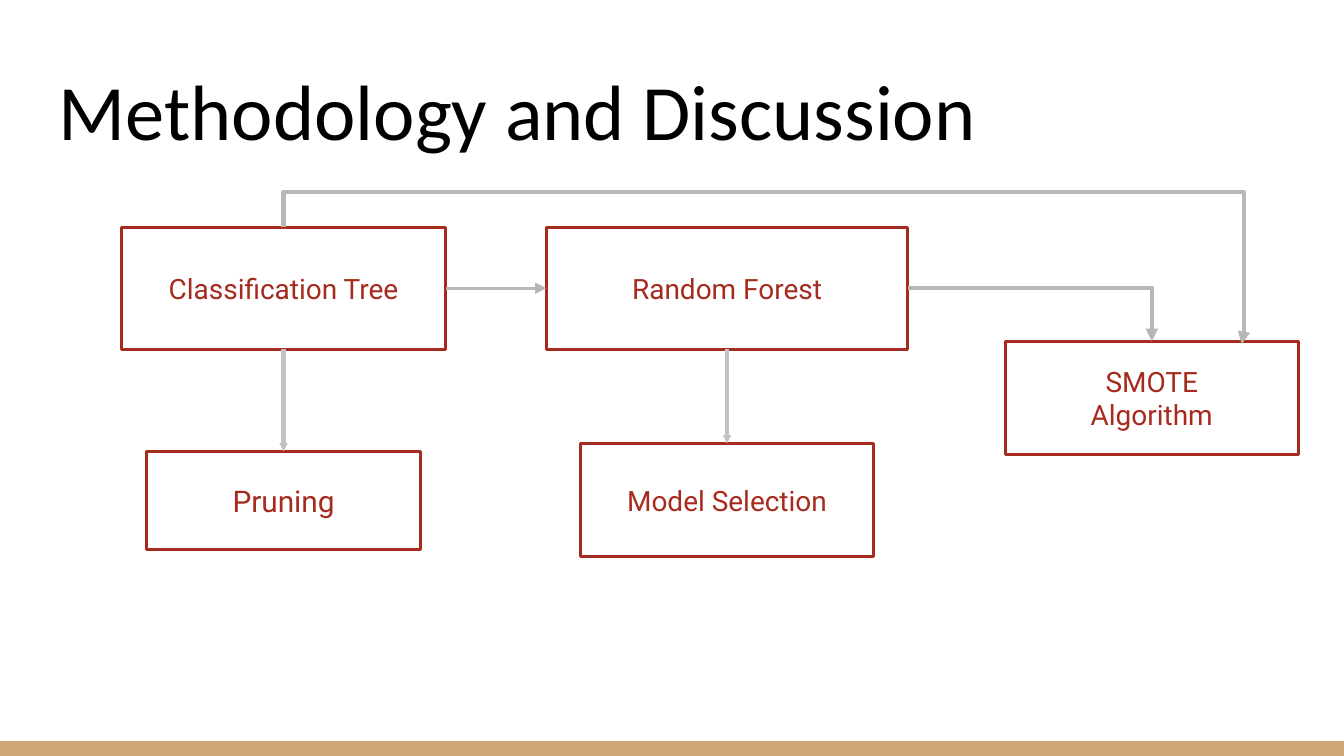
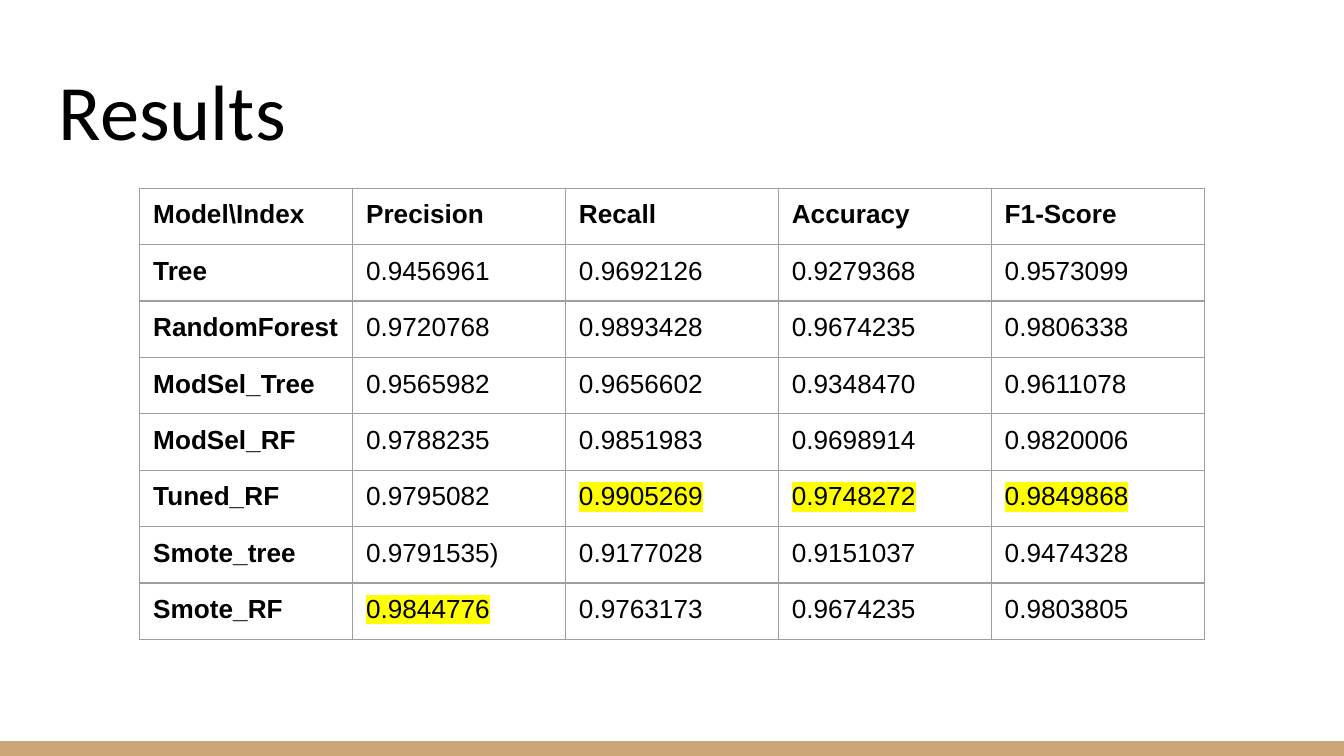
import pptx
import pptx.util
import pptx.dml.color
import pptx.enum.shapes
import pptx.enum.text
import pptx.oxml
import pptx.oxml.ns
import lxml.etree

Inches = pptx.util.Inches
Pt = pptx.util.Pt
RGBColor = pptx.dml.color.RGBColor
SHAPE = pptx.enum.shapes.MSO_SHAPE
LINK = pptx.enum.shapes.MSO_CONNECTOR
ALIGN = pptx.enum.text.PP_ALIGN
ANCHOR = pptx.enum.text.MSO_ANCHOR
qn = pptx.oxml.ns.qn

BLACK = RGBColor(0x00, 0x00, 0x00)
TAN = RGBColor(0xCC, 0xA6, 0x77)
RED = RGBColor(0xA7, 0x2A, 0x1E)
GREY = RGBColor(0xB7, 0xB7, 0xB7)
PALE = RGBColor(0xC2, 0xC2, 0xC2)
RULE = RGBColor(0x9E, 0x9E, 0x9E)
YELLOW = RGBColor(0xFF, 0xFF, 0x00)

WIDE = 10
HIGH = WIDE * 9 / 16
PAD = Inches(0.1)
TOP, LEFT, BOTTOM, RIGHT = range(4)  # connection sites of a rectangle


def style(frame, font, size, color, bold=False, align=ALIGN.LEFT):
    for para in frame.paragraphs:
        para.alignment = align
        for run in para.runs:
            run.font.name = font
            run.font.size = Pt(size)
            run.font.bold = bold
            run.font.color.rgb = color


def inset(frame, anchor):
    frame.word_wrap = True
    frame.vertical_anchor = anchor
    frame.margin_left = frame.margin_right = PAD
    frame.margin_top = frame.margin_bottom = PAD


# Shared frame: title and bottom band
def start(deck, title):
    slide = deck.slides.add_slide(deck.slide_layouts[6])
    band = slide.shapes.add_shape(
        SHAPE.RECTANGLE, 0, Inches(HIGH - 0.11), Inches(WIDE), Inches(0.11))
    band.shadow.inherit = False
    band.fill.solid()
    band.fill.fore_color.rgb = TAN
    band.line.fill.background()

    head = slide.shapes.add_textbox(
        Inches(0.34), Inches(0.35), Inches(9.32), Inches(0.91))
    head.text_frame.text = title
    inset(head.text_frame, ANCHOR.BOTTOM)
    style(head.text_frame, "Calibri", 42, BLACK)
    return slide


def node(slide, mid, top, width, height, text, size=15):
    """Outlined box, centred on mid."""
    box = slide.shapes.add_shape(
        SHAPE.RECTANGLE, Inches(mid - width / 2), Inches(top),
        Inches(width), Inches(height))
    box.shadow.inherit = False
    box.fill.background()
    box.line.color.rgb = RED
    box.line.width = Pt(1.5)
    box.text_frame.text = text
    inset(box.text_frame, ANCHOR.MIDDLE)
    style(box.text_frame, "Roboto", size, RED, align=ALIGN.CENTER)
    return box


def arrow(slide, begin, end, color=GREY, width=2.25, tip="headEnd",
          size="med", form="straightConnector1", bends=()):
    """Connector; an end is a (box, site) pair or an (x, y) point in inches."""
    kind = LINK.ELBOW if form.startswith("bent") else LINK.STRAIGHT
    line = slide.shapes.add_connector(kind, 0, 0, 0, 0)
    if isinstance(begin[0], (int, float)):
        line.begin_x, line.begin_y = Inches(begin[0]), Inches(begin[1])
    else:
        line.begin_connect(*begin)
    line.end_connect(*end)
    line.line.color.rgb = color
    line.line.width = Pt(width)

    # Route, arrowhead and no shadow
    props = line._element.spPr
    shape = props.find(qn("a:prstGeom"))
    shape.set("prst", form)
    guides = shape.find(qn("a:avLst"))
    for num, bend in enumerate(bends, 1):
        lxml.etree.SubElement(guides, qn("a:gd"), name=f"adj{num}",
                              fmla=f"val {bend}")
    stroke = props.find(qn("a:ln"))
    lxml.etree.SubElement(stroke, qn("a:" + tip), type="triangle",
                          w=size, len=size)
    lxml.etree.SubElement(props, qn("a:effectLst"))


# Flow chart of the methods
def flow(slide, left, top):
    one, two, three = left + 1.21, left + 4.51, left + 7.67
    tree = node(slide, one, top + 0.26, 2.41, 0.91, "Classification Tree")
    forest = node(slide, two, top + 0.26, 2.69, 0.91, "Random Forest")
    prune = node(slide, one, top + 1.93, 2.04, 0.73, "Pruning", 16)
    model = node(slide, two, top + 1.87, 2.18, 0.84, "Model Selection")
    smote = node(slide, three, top + 1.11, 2.18, 0.84, "SMOTE\nAlgorithm")

    arrow(slide, (prune, TOP), (tree, BOTTOM), PALE, size="sm")
    arrow(slide, (model, TOP), (forest, BOTTOM), PALE, size="sm")
    arrow(slide, (forest, LEFT), (tree, RIGHT), width=1.5)
    arrow(slide, (forest, RIGHT), (smote, TOP), tip="tailEnd",
          form="bentConnector2")
    arrow(slide, (left + 8.34, top + 1.13), (tree, TOP),
          form="bentConnector4", bends=(-200, 129700))


def border(cell):
    props = cell._tc.get_or_add_tcPr()
    for spot, side in enumerate(("lnL", "lnR", "lnT", "lnB")):
        edge = lxml.etree.Element(qn("a:" + side), w=str(Pt(0.75)))
        fill = lxml.etree.SubElement(edge, qn("a:solidFill"))
        lxml.etree.SubElement(fill, qn("a:srgbClr"), val=str(RULE))
        props.insert(spot, edge)


def mark(run):
    """Highlight a run."""
    glow = lxml.etree.Element(qn("a:highlight"))
    lxml.etree.SubElement(glow, qn("a:srgbClr"), val=str(YELLOW))
    run.font._element.find(qn("a:solidFill")).addnext(glow)


# Table of scores; the best of each index is highlighted
def scores(slide, left, top, width, height, rows, best):
    count, span = len(rows), len(rows[0])
    table = slide.shapes.add_table(
        count, span, Inches(left), Inches(top),
        Inches(width), Inches(height)).table
    table.first_row = table.horz_banding = False
    for col in table.columns:
        col.width = Inches(width / span)
    for y, row in enumerate(rows):
        table.rows[y].height = Inches(height / count)
        for x, text in enumerate(row):
            cell = table.cell(y, x)
            cell.text_frame.text = text
            cell.fill.background()
            cell.margin_left = cell.margin_right = PAD
            cell.margin_top = cell.margin_bottom = Inches(0.09)
            style(cell.text_frame, "Arial", 14, BLACK, x == 0 or y == 0)
            border(cell)
            if (y, x) in best:
                mark(cell.text_frame.paragraphs[0].runs[0])


ROWS = [
    ("Model\\Index", "Precision", "Recall", "Accuracy", "F1-Score"),
    ("Tree", "0.9456961", "0.9692126", "0.9279368", "0.9573099"),
    ("RandomForest", "0.9720768", "0.9893428", "0.9674235", "0.9806338"),
    ("ModSel_Tree", "0.9565982", "0.9656602", "0.9348470", "0.9611078"),
    ("ModSel_RF", "0.9788235", "0.9851983", "0.9698914", "0.9820006"),
    ("Tuned_RF", "0.9795082", "0.9905269", "0.9748272", "0.9849868"),
    ("Smote_tree", "0.9791535)", "0.9177028", "0.9151037", "0.9474328"),
    ("Smote_RF", "0.9844776", "0.9763173", "0.9674235", "0.9803805"),
]
BEST = {(7, 1), (5, 2), (5, 3), (5, 4)}

deck = pptx.Presentation()
deck.slide_width, deck.slide_height = Inches(WIDE), Inches(HIGH)
flow(start(deck, "Methodology and Discussion"), 0.9, 1.43)
scores(start(deck, "Results"), 1.04, 1.4, 7.92, 3.36, ROWS, BEST)
deck.save("out.pptx")
